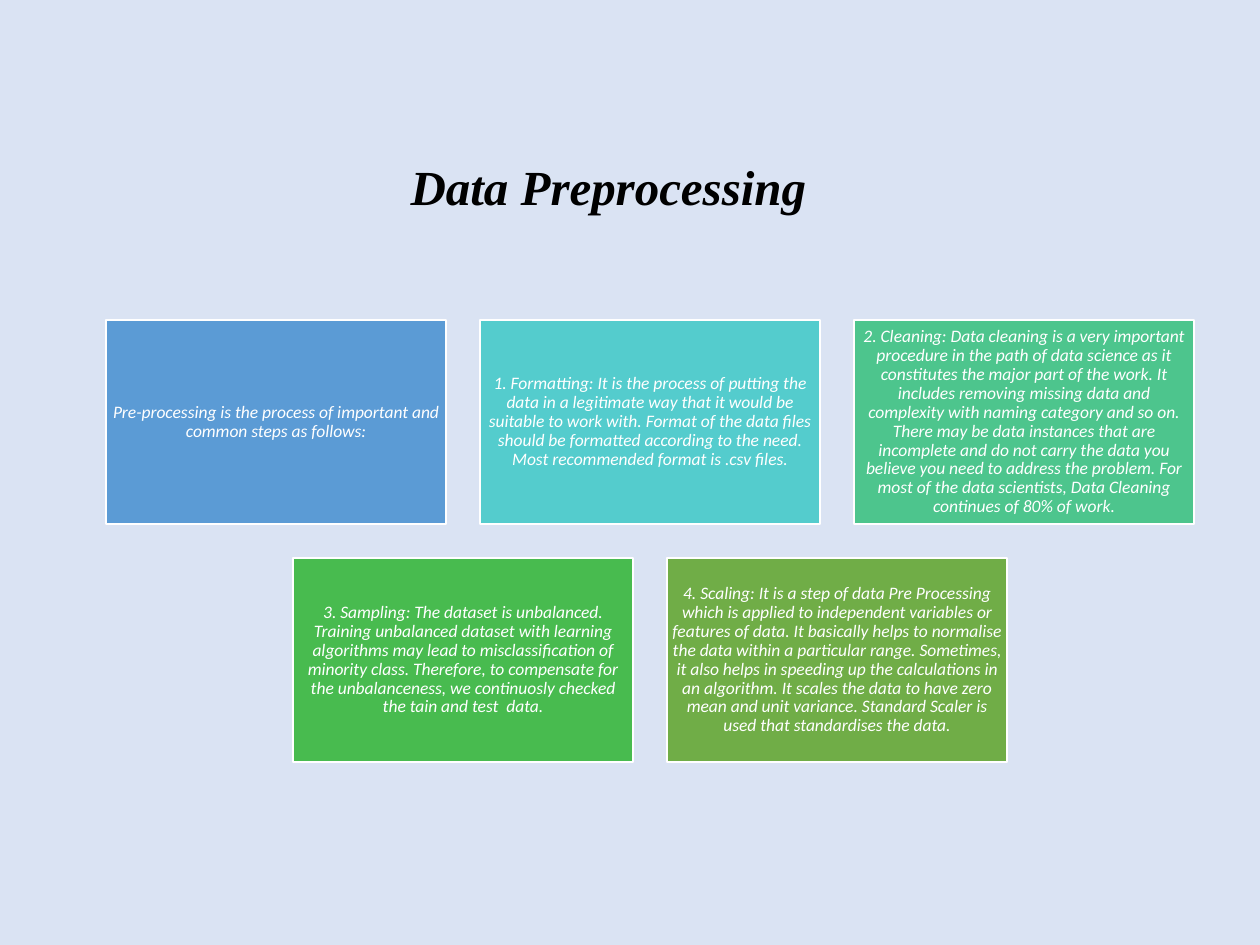
"""Build the Data Preprocessing slide: a title above five centred cards."""
from pptx import Presentation
from pptx.dml.color import RGBColor
from pptx.enum.shapes import MSO_SHAPE
from pptx.enum.text import MSO_ANCHOR, PP_ALIGN
from pptx.util import Pt

TITLE = "Data Preprocessing"
CARD_ROWS = [
    [
        ("blue", "Pre-processing is the process of important and common steps as follows:"),
        ("teal", "1. Formatting: It is the process of putting the data in a legitimate way "
                 "that it would be suitable to work with. Format of the data files should be "
                 "formatted according to the need. Most recommended format is .csv files."),
        ("mint", "2. Cleaning: Data cleaning is a very important procedure in the path of data "
                 "science as it constitutes the major part of the work. It includes removing "
                 "missing data and complexity with naming category and so on. There may be data "
                 "instances that are incomplete and do not carry the data you believe you need "
                 "to address the problem. For most of the data scientists, Data Cleaning "
                 "continues of 80% of work."),
    ],
    [
        ("green", "3. Sampling: The dataset is unbalanced. Training unbalanced dataset with "
                  "learning algorithms may lead to misclassification of minority class. "
                  "Therefore, to compensate for the unbalanceness, we continuosly checked the "
                  "tain and test  data."),
        ("olive", "4. Scaling: It is a step of data Pre Processing which is applied to "
                  "independent variables or features of data. It basically helps to normalise "
                  "the data within a particular range. Sometimes, it also helps in speeding up "
                  "the calculations in an algorithm. It scales the data to have zero mean and "
                  "unit variance. Standard Scaler is used that standardises the data."),
    ],
]
COLORS = {
    "background": "DAE3F3", "black": "000000", "white": "FFFFFF", "blue": "5B9BD5",
    "teal": "54CCCD", "mint": "4DC58D", "green": "48BB4F", "olive": "70AD47",
}
SLIDE_SIZE = (1260, 945)
TITLE_BOX = (398, 112, 1086, 156)
CARD_WIDTH, CARD_HEIGHT, GAP = 340, 204, 34
CARDS_CENTER, CARDS_TOP = 650, 320
CARD_INSET = 5


def px(value):
    return round(value * 914400 / 126)


def color(name):
    return RGBColor.from_string(COLORS[name])


def write(frame, text, font_name, size, color_name, align, bold=False):
    frame.word_wrap = True
    frame.vertical_anchor = MSO_ANCHOR.MIDDLE
    paragraph = frame.paragraphs[0]
    paragraph.alignment = align
    paragraph.line_spacing = 0.9
    run = paragraph.add_run()
    run.text = text
    font = run.font
    font.name, font.size, font.bold, font.italic = font_name, Pt(size), bold, True
    font.color.rgb = color(color_name)


def add_card(slide, left, top, fill, text):
    shape = slide.shapes.add_shape(
        MSO_SHAPE.RECTANGLE, px(left), px(top), px(CARD_WIDTH), px(CARD_HEIGHT))
    shape.shadow.inherit = False
    shape.fill.solid()
    shape.fill.fore_color.rgb = color(fill)
    shape.line.color.rgb = color("white")
    shape.line.width = Pt(1)
    frame = shape.text_frame
    frame.margin_left = frame.margin_right = px(CARD_INSET)
    frame.margin_top = frame.margin_bottom = px(CARD_INSET)
    write(frame, text, "Calibri", 10, "white", PP_ALIGN.CENTER)


def main():
    presentation = Presentation()
    presentation.slide_width, presentation.slide_height = map(px, SLIDE_SIZE)
    slide = presentation.slides.add_slide(presentation.slide_layouts[5])
    slide.background.fill.solid()
    slide.background.fill.fore_color.rgb = color("background")

    title = slide.shapes.title
    title.left, title.top, title.width, title.height = map(px, TITLE_BOX)
    write(title.text_frame, TITLE, "Times New Roman", 28, "black", PP_ALIGN.LEFT, bold=True)

    for row, cards in enumerate(CARD_ROWS):
        row_width = len(cards) * (CARD_WIDTH + GAP) - GAP
        row_left = CARDS_CENTER - row_width // 2
        top = CARDS_TOP + row * (CARD_HEIGHT + GAP)
        for column, (fill, text) in enumerate(cards):
            add_card(slide, row_left + column * (CARD_WIDTH + GAP), top, fill, text)

    presentation.save("out.pptx")


if __name__ == "__main__":
    main()
